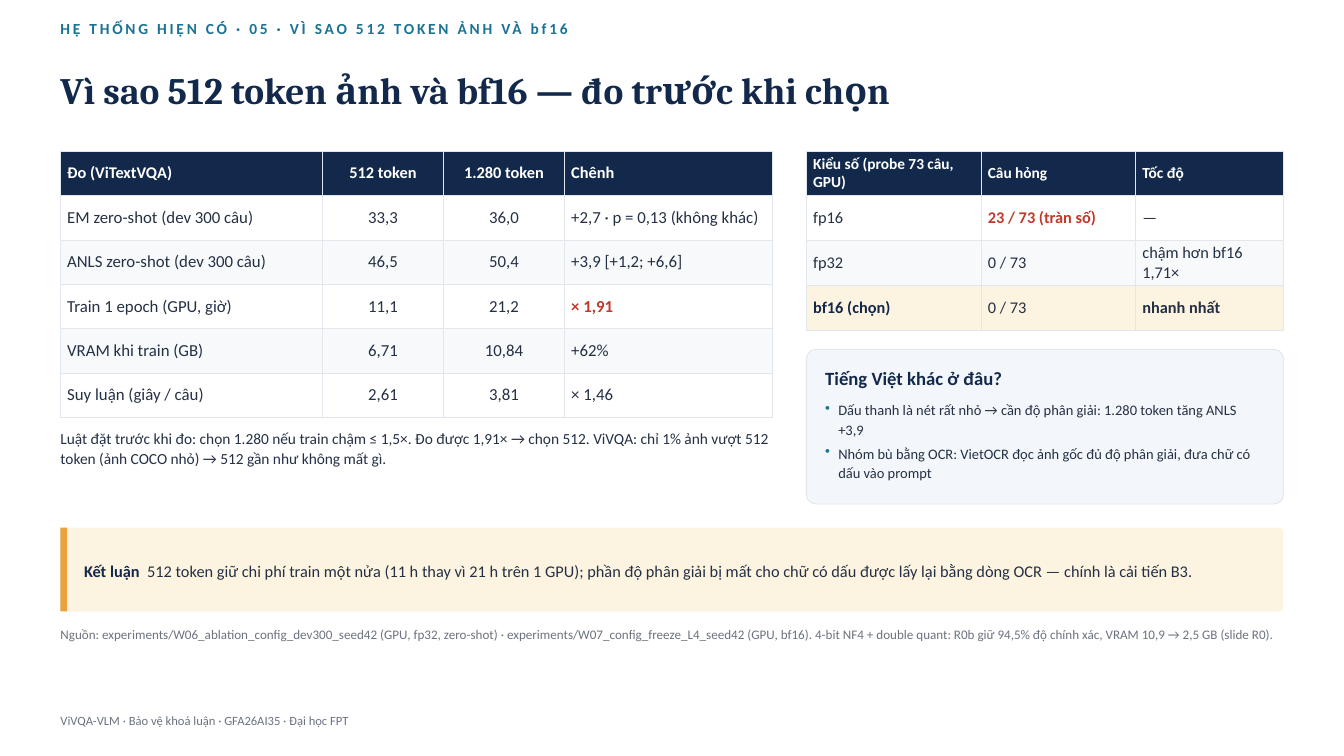
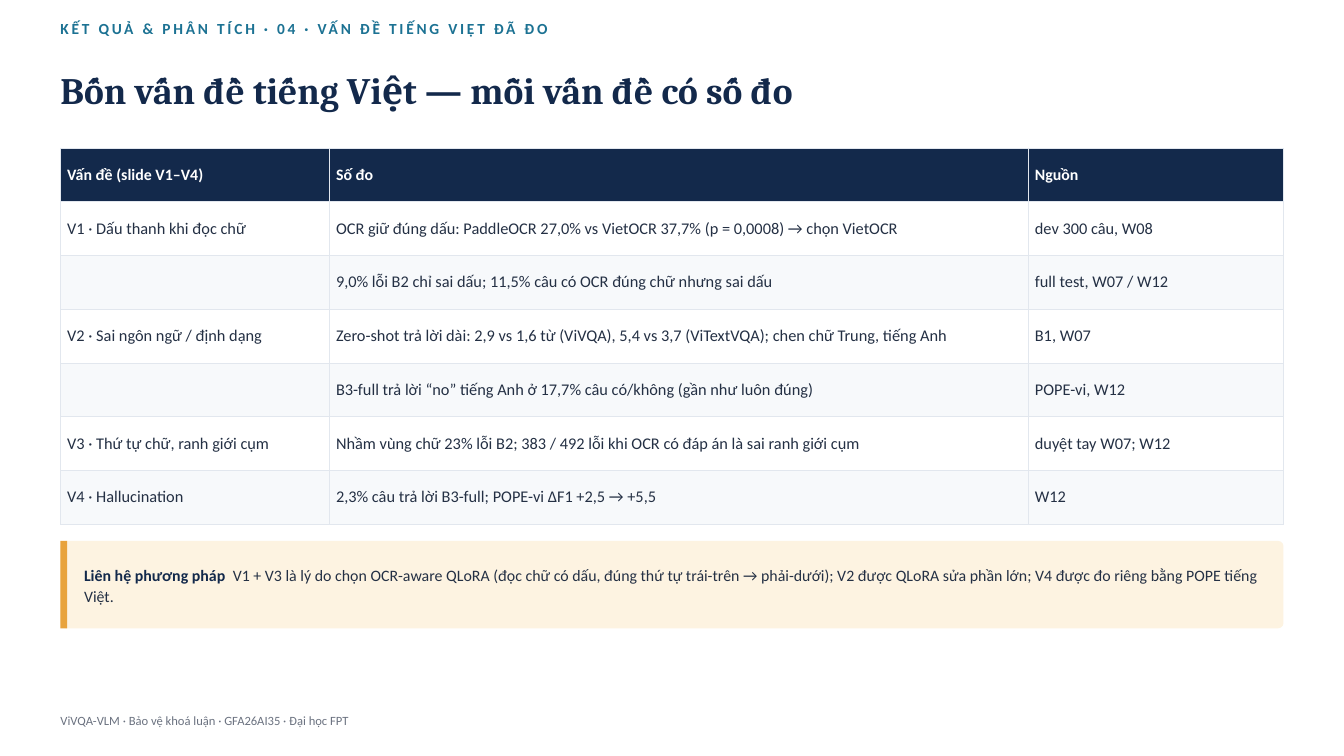
import pptx
import pptx.dml.color
import pptx.enum.shapes
import pptx.enum.text
import pptx.oxml
import pptx.oxml.ns
import pptx.util

Pt = pptx.util.Pt
MIDDLE = pptx.enum.text.MSO_ANCHOR.MIDDLE
CENTER = pptx.enum.text.PP_ALIGN.CENTER
RECTANGLE = pptx.enum.shapes.MSO_SHAPE.RECTANGLE
ROUNDED = pptx.enum.shapes.MSO_SHAPE.ROUNDED_RECTANGLE

COLORS = {
    "navy": "13294B",
    "teal": "1C7293",
    "ink": "243044",
    "grey": "6B7280",
    "red": "C0392B",
    "amber": "E8A33D",
    "cream": "FDF3E1",
    "panel": "F3F6FA",
    "stripe": "F7F9FB",
    "border": "E2E7EE",
    "white": "FFFFFF",
}
LEFT, WIDTH = 64.8, 1310.4
FOOTER = "ViVQA-VLM · Bảo vệ khoá luận · GFA26AI35 · Đại học FPT"


def rgb(name):
    return pptx.dml.color.RGBColor.from_string(COLORS[name])


class Deck:
    """Holds the shared style and the slide being built."""

    def __init__(self):
        self.presentation = pptx.Presentation()
        self.presentation.slide_width = Pt(1440)
        self.presentation.slide_height = Pt(810)
        self.slide = None

    def start_slide(self, section, title):
        self.slide = self.presentation.slides.add_slide(self.presentation.slide_layouts[6])
        self.text(LEFT, 20.88, WIDTH, 46.08, section, 16.5, "teal", bold=True,
                  line_spacing=Pt(19.8), after=0, tracking=3)
        self.text(LEFT, 62.64, WIDTH, 79.92, title, 40, "navy", bold=True,
                  line_spacing=Pt(57.6), after=0, font="Cambria")
        self.text(LEFT, 761.76, 1080, 28.8, FOOTER, 13.5, "grey")

    def style(self, paragraph, size, color, bold=False, font="Calibri"):
        paragraph.font.name = font
        paragraph.font.size = Pt(size)
        paragraph.font.bold = bold
        paragraph.font.color.rgb = rgb(color)

    def track(self, run, points):
        run._r.get_or_add_rPr().set("spc", str(points * 100))

    def frame(self, left, top, width, height):
        box = self.slide.shapes.add_textbox(Pt(left), Pt(top), Pt(width), Pt(height))
        frame = box.text_frame
        frame.word_wrap = True
        frame.auto_size = pptx.enum.text.MSO_AUTO_SIZE.SHAPE_TO_FIT_TEXT
        frame.margin_left = frame.margin_right = frame.margin_top = frame.margin_bottom = 0
        return frame

    def text(self, left, top, width, height, words, size, color, bold=False,
             line_spacing=1.12, after=4, tracking=0, font="Calibri"):
        paragraph = self.frame(left, top, width, height).paragraphs[0]
        paragraph.line_spacing = line_spacing
        paragraph.space_after = Pt(after)
        run = paragraph.add_run()
        run.text = words
        if tracking:
            self.track(run, tracking)
        self.style(paragraph, size, color, bold, font)

    def bullets(self, left, top, width, height, items, size):
        frame = self.frame(left, top, width, height)
        for index, item in enumerate(items):
            paragraph = frame.paragraphs[0] if index == 0 else frame.add_paragraph()
            paragraph.text = item
            paragraph.line_spacing = 1.12
            paragraph.space_after = Pt(5)
            properties = paragraph._p.get_or_add_pPr()
            properties.set("marL", str(Pt(14)))
            properties.set("indent", str(-Pt(14)))
            color = pptx.oxml.ns.qn("a:buClr")
            properties.append(properties.makeelement(color, {}))
            properties[-1].append(properties.makeelement(
                pptx.oxml.ns.qn("a:srgbClr"), {"val": COLORS["teal"]}))
            properties.append(properties.makeelement(
                pptx.oxml.ns.qn("a:buChar"), {"char": "•"}))
            self.style(paragraph, size, "ink")

    def shape(self, kind, left, top, width, height, fill, line=None):
        shape = self.slide.shapes.add_shape(kind, Pt(left), Pt(top), Pt(width), Pt(height))
        shape.shadow.inherit = False
        shape.fill.solid()
        shape.fill.fore_color.rgb = rgb(fill)
        if kind == ROUNDED:
            shape.adjustments[0] = 0.06
        if line:
            shape.line.color.rgb = rgb(line)
            shape.line.width = Pt(1)
        else:
            shape.line.fill.background()

    def callout(self, top, height, label, words, size):
        self.shape(ROUNDED, LEFT, top, WIDTH, height, "cream")
        self.shape(RECTANGLE, LEFT, top, 7.2, height, "amber")
        frame = self.frame(90, top, 1270.8, height)
        frame.vertical_anchor = MIDDLE
        paragraph = frame.paragraphs[0]
        paragraph.line_spacing = 1.12
        paragraph.space_after = Pt(4)
        label_run, gap, body = (paragraph.add_run() for _ in range(3))
        label_run.text, gap.text, body.text = label, " ", words
        self.track(gap, 4)
        self.style(paragraph, size, "ink")
        label_run.font.bold = True
        label_run.font.color.rgb = rgb("navy")

    def border(self, cell):
        properties = cell._tc.get_or_add_tcPr()
        for side in ("lnL", "lnR", "lnT", "lnB"):
            properties.append(pptx.oxml.parse_xml(
                f'<a:{side} {pptx.oxml.ns.nsdecls("a")} w="{Pt(0.75)}"><a:solidFill>'
                f'<a:srgbClr val="{COLORS["border"]}"/></a:solidFill></a:{side}>'))

    def table(self, left, top, columns, row_height, rows, header_size, size,
              centered=(), chosen_row=None):
        """A cell is its words, or (words, color) for bold coloured words."""
        table = self.slide.shapes.add_table(
            len(rows), len(columns), Pt(left), Pt(top),
            Pt(sum(columns)), Pt(row_height * len(rows))).table
        table.horz_banding = False
        for column, width in zip(table.columns, columns):
            column.width = Pt(width)
        for row_index, values in enumerate(rows):
            table.rows[row_index].height = Pt(row_height)
            header = row_index == 0
            if header:
                fill = "navy"
            elif row_index == chosen_row:
                fill = "cream"
            else:
                fill = "white" if row_index % 2 else "stripe"
            for column_index, value in enumerate(values):
                cell = table.cell(row_index, column_index)
                self.border(cell)
                cell.fill.solid()
                cell.fill.fore_color.rgb = rgb(fill)
                cell.vertical_anchor = MIDDLE
                if not value:
                    continue
                emphasized = isinstance(value, tuple)
                words, color = value if emphasized else (value, "white" if header else "ink")
                paragraph = cell.text_frame.paragraphs[0]
                paragraph.text = words
                if column_index in centered:
                    paragraph.alignment = CENTER
                self.style(paragraph, header_size if header else size, color,
                           header or emphasized)


def build_choice_slide(deck):
    deck.start_slide("HỆ THỐNG HIỆN CÓ · 05 · VÌ SAO 512 TOKEN ẢNH VÀ bf16",
                     "Vì sao 512 token ảnh và bf16 — đo trước khi chọn")

    # Token budget measurements
    deck.table(LEFT, 162, [280.8, 129.6, 129.6, 223.2], 47.52, [
        ["Đo (ViTextVQA)", "512 token", "1.280 token", "Chênh"],
        ["EM zero-shot (dev 300 câu)", "33,3", "36,0", "+2,7 · p = 0,13 (không khác)"],
        ["ANLS zero-shot (dev 300 câu)", "46,5", "50,4", "+3,9 [+1,2; +6,6]"],
        ["Train 1 epoch (GPU, giờ)", "11,1", "21,2", ("× 1,91", "red")],
        ["VRAM khi train (GB)", "6,71", "10,84", "+62%"],
        ["Suy luận (giây / câu)", "2,61", "3,81", "× 1,46"],
    ], 17.5, 18, centered=(1, 2))
    deck.text(LEFT, 457.2, 763.2, 79.2,
              "Luật đặt trước khi đo: chọn 1.280 nếu train chậm ≤ 1,5×. Đo được 1,91× → chọn 512. "
              "ViVQA: chỉ 1% ảnh vượt 512 token (ảnh COCO nhỏ) → 512 gần như không mất gì.",
              16.5, "ink")

    # Number formats
    deck.table(864, 162, [187.2, 165.6, 158.4], 47.52, [
        ["Kiểu số (probe 73 câu, GPU)", "Câu hỏng", "Tốc độ"],
        ["fp16", ("23 / 73 (tràn số)", "red"), "—"],
        ["fp32", "0 / 73", "chậm hơn bf16 1,71×"],
        [("bf16 (chọn)", "navy"), "0 / 73", ("nhanh nhất", "ink")],
    ], 16.5, 17.5, chosen_row=3)

    # Vietnamese panel
    deck.shape(ROUNDED, 864, 374.4, 511.2, 165.6, "panel", line="border")
    deck.text(884.16, 390.24, 470.88, 43.2, "Tiếng Việt khác ở đâu?", 20, "navy", bold=True)
    deck.bullets(884.16, 427.68, 470.88, 105.12, [
        "Dấu thanh là nét rất nhỏ → cần độ phân giải: 1.280 token tăng ANLS +3,9",
        "Nhóm bù bằng OCR: VietOCR đọc ảnh gốc đủ độ phân giải, đưa chữ có dấu vào prompt",
    ], 15.5)

    # Conclusion and sources
    deck.callout(565.2, 90, "Kết luận",
                 "512 token giữ chi phí train một nửa (11 h thay vì 21 h trên 1 GPU); phần độ phân "
                 "giải bị mất cho chữ có dấu được lấy lại bằng dòng OCR — chính là cải tiến B3.", 17.5)
    deck.text(LEFT, 669.6, WIDTH, 57.6,
              "Nguồn: experiments/W06_ablation_config_dev300_seed42 (GPU, fp32, zero-shot) · "
              "experiments/W07_config_freeze_L4_seed42 (GPU, bf16). 4-bit NF4 + double quant: "
              "R0b giữ 94,5% độ chính xác, VRAM 10,9 → 2,5 GB (slide R0).", 14, "grey")


def build_problems_slide(deck):
    deck.start_slide("KẾT QUẢ & PHÂN TÍCH · 04 · VẤN ĐỀ TIẾNG VIỆT ĐÃ ĐO",
                     "Bốn vấn đề tiếng Việt — mỗi vấn đề có số đo")

    # Problems and measurements
    deck.table(LEFT, 158.4, [288, 748.8, 273.6], 57.6, [
        ["Vấn đề (slide V1–V4)", "Số đo", "Nguồn"],
        ["V1 · Dấu thanh khi đọc chữ",
         "OCR giữ đúng dấu: PaddleOCR 27,0% vs VietOCR 37,7% (p = 0,0008) → chọn VietOCR",
         "dev 300 câu, W08"],
        ["", "9,0% lỗi B2 chỉ sai dấu; 11,5% câu có OCR đúng chữ nhưng sai dấu",
         "full test, W07 / W12"],
        ["V2 · Sai ngôn ngữ / định dạng",
         "Zero-shot trả lời dài: 2,9 vs 1,6 từ (ViVQA), 5,4 vs 3,7 (ViTextVQA); "
         "chen chữ Trung, tiếng Anh", "B1, W07"],
        ["", "B3-full trả lời “no” tiếng Anh ở 17,7% câu có/không (gần như luôn đúng)",
         "POPE-vi, W12"],
        ["V3 · Thứ tự chữ, ranh giới cụm",
         "Nhầm vùng chữ 23% lỗi B2; 383 / 492 lỗi khi OCR có đáp án là sai ranh giới cụm",
         "duyệt tay W07; W12"],
        ["V4 · Hallucination", "2,3% câu trả lời B3-full; POPE-vi ΔF1 +2,5 → +5,5", "W12"],
    ], 17, 17.5)

    # Link to the method
    deck.callout(579.6, 93.6, "Liên hệ phương pháp",
                 "V1 + V3 là lý do chọn OCR-aware QLoRA (đọc chữ có dấu, đúng thứ tự trái-trên → "
                 "phải-dưới); V2 được QLoRA sửa phần lớn; V4 được đo riêng bằng POPE tiếng Việt.", 17)


def main():
    deck = Deck()
    build_choice_slide(deck)
    build_problems_slide(deck)
    deck.presentation.save("out.pptx")


if __name__ == "__main__":
    main()
